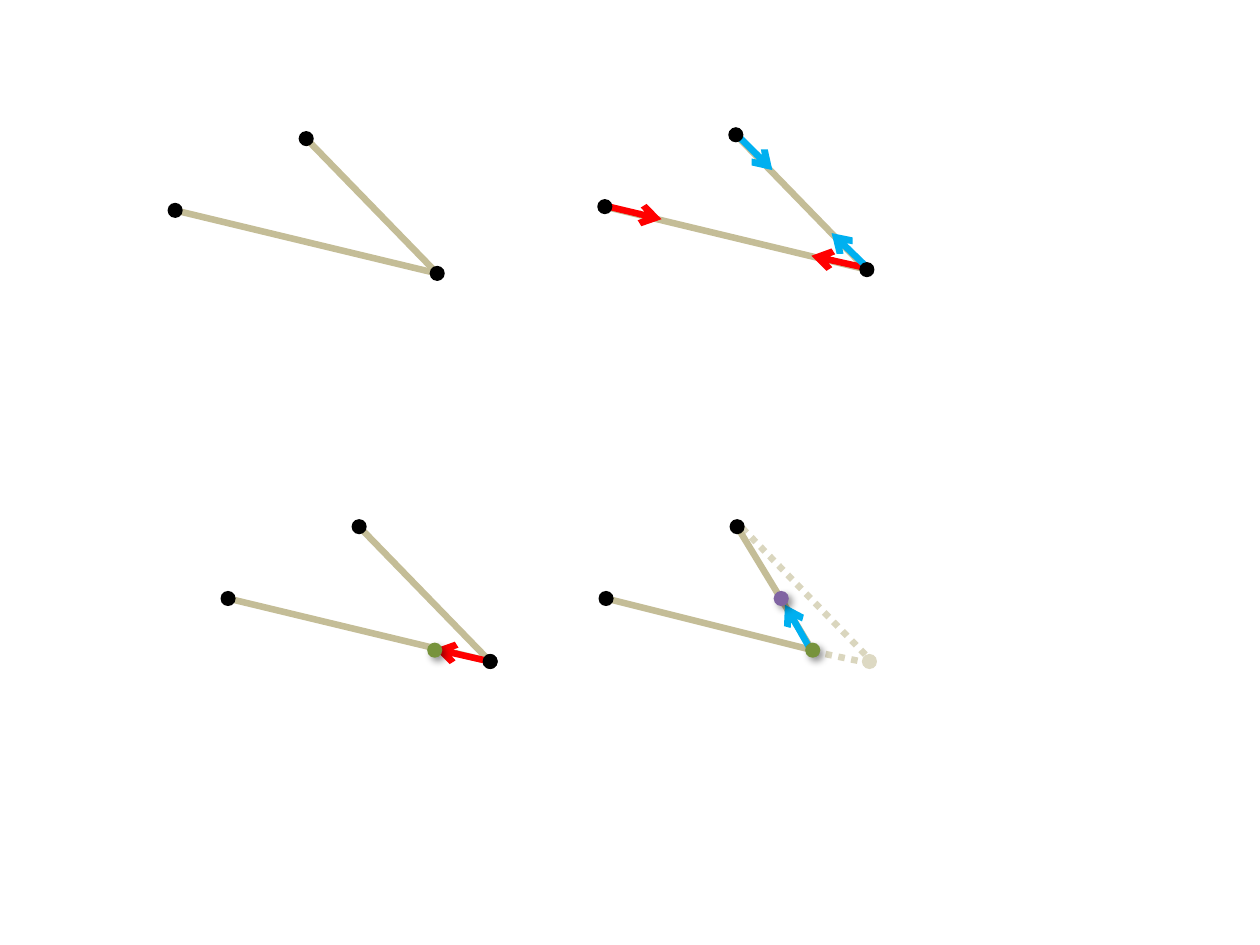
from dataclasses import dataclass

from lxml import etree
from pptx import Presentation
from pptx import util as u
from pptx.dml.color import RGBColor
from pptx.enum import shapes
from pptx.oxml.ns import qn

PX = u.Inches(1) // 100  # 100 px to the inch


@dataclass(frozen=True)
class Theme:
    link: str = "C4BD97"
    point: str = "000000"
    first: str = "FF0000"
    second: str = "00B0F0"
    moved: str = "77933C"
    result: str = "8064A2"
    ghost: str = "DDD9C3"
    width: float = 3.75
    dot: int = 12


THEME = Theme()

# Point centres, relative to a panel's box
LEFT, TOP, RIGHT = (6, 63), (110, 6), (214, 113)
MOVED, RESULT = (170, 104), (145, 63)
GHOST = (215, 113)


def add(parent, tag, **attrs):
    return etree.SubElement(parent, qn(tag), attrs)


def line(panel, box, start, end, color=THEME.link, arrow=False, ghost=False):
    x, y = box
    ends = (x + start[0], y + start[1], x + end[0], y + end[1])
    c = panel.shapes.add_connector(shapes.MSO_CONNECTOR.STRAIGHT, *(v * PX for v in ends))
    c.line.width = u.Pt(THEME.width)
    c.line.color.rgb = RGBColor.from_string(color)
    ln = c.line._get_or_add_ln()
    if ghost:
        add(ln.find(".//" + qn("a:srgbClr")), "a:alpha", val="62000")
        add(ln, "a:prstDash", val="sysDot")
    if arrow:
        add(ln, "a:tailEnd", type="arrow")
    add(c._element.spPr, "a:effectLst")


def dot(panel, box, center, color=THEME.point, shadow=False):
    d = THEME.dot
    left, top = (b + c - d // 2 for b, c in zip(box, center))
    sp = panel.shapes.add_shape(shapes.MSO_SHAPE.OVAL, left * PX, top * PX, d * PX, d * PX)
    sp.fill.solid()
    sp.fill.fore_color.rgb = RGBColor.from_string(color)
    sp.line.fill.background()
    sp.shadow.inherit = False
    if shadow:
        effects = sp._element.spPr.find(qn("a:effectLst"))
        outer = add(effects, "a:outerShdw", blurRad=str(u.Pt(4)), dist=str(u.Pt(3)),
                    dir=str(45 * 60000), algn="tl", rotWithShape="0")
        add(add(outer, "a:srgbClr", val="000000"), "a:alpha", val="40000")


def links_and_points(panel, box):
    for start in (LEFT, TOP):
        line(panel, box, start, RIGHT)
    for center in (LEFT, TOP, RIGHT):
        dot(panel, box, center)


def initial_panel(panel, box):
    links_and_points(panel, box)


def forces_panel(panel, box):
    for start in (LEFT, TOP):
        line(panel, box, start, RIGHT)
    # Opposing pulls along each link
    for start, end, color in (
        ((215, 112), (170, 102), THEME.first),
        ((9, 63), (51, 73), THEME.first),
        ((111, 6), (139, 34), THEME.second),
        ((214, 111), (186, 84), THEME.second),
    ):
        line(panel, box, start, end, color, arrow=True)
    for center in (LEFT, RIGHT, TOP):
        dot(panel, box, center)


def first_step_panel(panel, box):
    links_and_points(panel, box)
    # First move, with the end point on top again
    line(panel, box, RIGHT, (170, 103), THEME.first, arrow=True)
    dot(panel, box, MOVED, THEME.moved, shadow=True)
    dot(panel, box, RIGHT)


def second_step_panel(panel, box):
    # Former links
    line(panel, box, (170, 105), (218, 115), ghost=True)
    line(panel, box, (114, 7), (218, 114), ghost=True)
    # Current links
    line(panel, box, LEFT, MOVED)
    line(panel, box, TOP, (169, 103))
    for center in (LEFT, TOP):
        dot(panel, box, center)
    # Second move
    line(panel, box, (168, 103), (148, 68), THEME.second, arrow=True)
    dot(panel, box, MOVED, THEME.moved, shadow=True)
    dot(panel, box, GHOST, THEME.ghost)
    dot(panel, box, RESULT, THEME.result, shadow=True)


def main():
    prs = Presentation()
    prs.slide_width, prs.slide_height = 1000 * PX, 750 * PX
    s = prs.slides.add_slide(prs.slide_layouts[6])
    for build, box in (
        (initial_panel, (133, 104)),
        (forces_panel, (474, 101)),
        (first_step_panel, (175, 412)),
        (second_step_panel, (475, 412)),
    ):
        build(s.shapes.add_group_shape(), box)
    prs.save("out.pptx")


if __name__ == "__main__":
    main()
